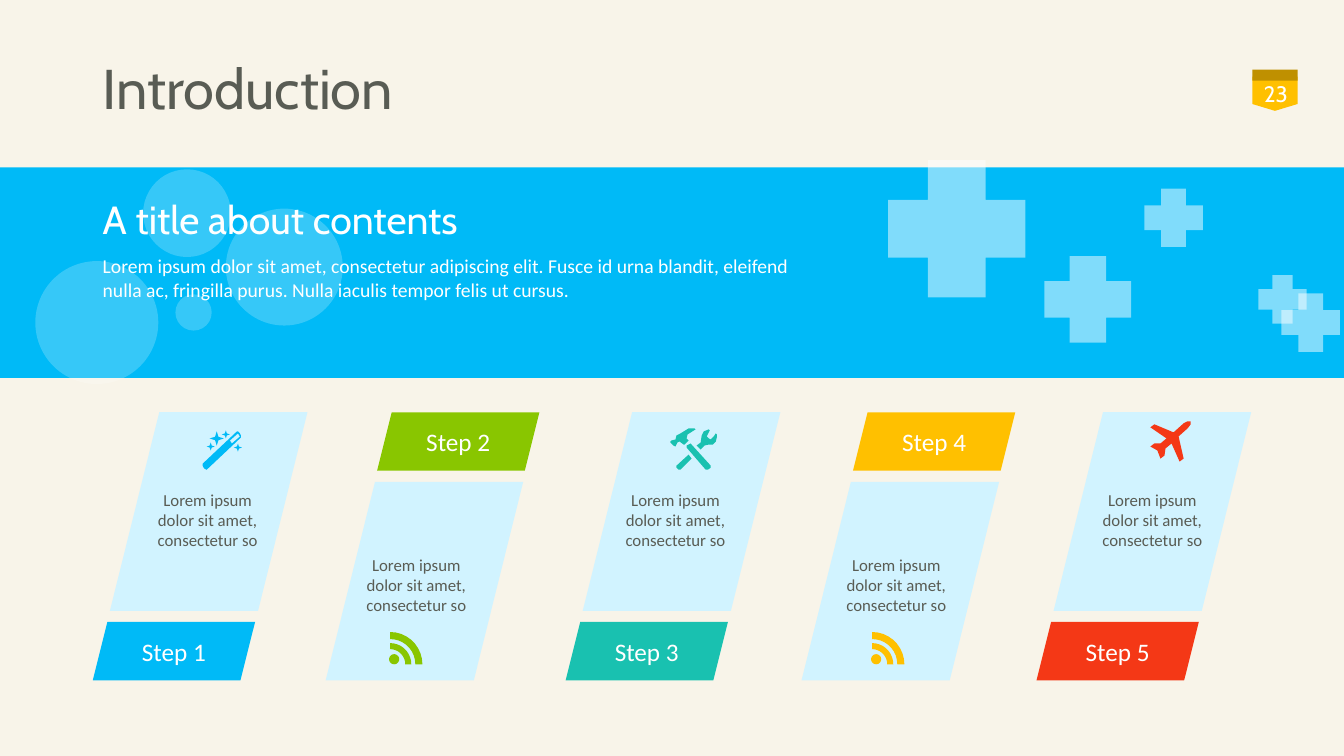
from math import cos, sin, radians
from lxml import etree
from pptx import Presentation
from pptx import util as u
from pptx.dml import color as dml
from pptx.enum import shapes, text
from pptx.oxml import ns

PX = 9144
KIND = shapes.MSO_SHAPE
ALIGN = text.PP_ALIGN
MIDDLE = text.MSO_ANCHOR.MIDDLE
WHITE, GREY, SKY, PALE = "FFFFFF", "595C54", "00BAF7", "D1F3FF"
BLURB = "Lorem ipsum dolor sit amet, consectetur so"
INTRO = ("Lorem ipsum dolor sit amet, consectetur adipiscing elit. Fusce id urna "
         "blandit, eleifend nulla ac, fringilla purus. Nulla iaculis tempor felis ut cursus.")


def rgb(code):
    return dml.RGBColor.from_string(code)


def paint(shape, code, alpha=100):
    shape.shadow.inherit = False
    shape.line.fill.background()
    shape.fill.solid()
    shape.fill.fore_color.rgb = rgb(code)
    if alpha < 100:
        tone = shape.fill._xPr.find(".//" + ns.qn("a:srgbClr"))
        etree.SubElement(tone, ns.qn("a:alpha")).set("val", str(alpha * 1000))


def block(slide, kind, box, code, alpha=100, adj=None):
    shape = slide.shapes.add_shape(kind, *[n * PX for n in box])
    paint(shape, code, alpha)
    if adj is not None:
        shape.adjustments[0] = adj
    return shape


def write(shape, words, size, code, font="Calibri", align=ALIGN.LEFT, wrap=True):
    frame = shape.text_frame
    frame.text = words
    frame.word_wrap = wrap
    para = frame.paragraphs[0]
    para.alignment = align
    face = para.runs[0].font
    face.name, face.size = font, u.Pt(size)
    face.color.rgb = rgb(code)
    return frame


def label(slide, box, *args, **opts):
    shape = slide.shapes.add_textbox(*[n * PX for n in box])
    return write(shape, *args, **opts)


def arc(x, y, r, start, end):
    return [(x + r * cos(radians(a)), y + r * sin(radians(a)))
            for a in range(start, end + 1, 10)]


def star(x, y, r):
    pts = []
    for i in range(8):
        reach = r * 0.35 if i % 2 else r
        pts.append((x + reach * cos(radians(45 * i)), y + reach * sin(radians(45 * i))))
    return pts


def band(outer, inner):
    return arc(1, 32, outer, -90, 0) + arc(1, 32, inner, -90, 0)[::-1]


WAND = [
    [(34, 1), (35, 1), (37, 3), (38, 5), (38, 7), (4, 39), (2, 38), (1, 37), (0, 35), (0, 33)],
    [(37, 6), (35, 3), (27, 10), (29, 13)],
    star(8, 16, 4), star(14, 8, 7), star(23, 4, 4), star(35, 17, 4),
]
FEED = [band(32, 25), band(21, 15), arc(5, 27, 5, 0, 350)]
TOOLS = [
    [(7, 14), (9, 13), (13, 16), (14, 16), (18, 12), (16, 10), (17, 6), (25, 1), (24, 0),
     (18, 0), (10, 5), (6, 7), (5, 11), (1, 12), (0, 13), (0, 14), (3, 17), (5, 18), (6, 16)],
    [(20, 15), (16, 17), (16, 19), (35, 41), (37, 41), (40, 39), (40, 37)],
    [(46, 6), (45, 5), (43, 8), (40, 11), (38, 10), (36, 8), (37, 6), (39, 2), (38, 1),
     (33, 3), (31, 7), (30, 14), (26, 17), (30, 21), (34, 17), (38, 16), (42, 16),
     (45, 13), (46, 9)],
    [(6, 37), (6, 39), (8, 41), (10, 41), (21, 30), (18, 26)],
]
PLANE = [
    [(29, 40), (33, 37), (28, 15), (37, 7), (40, 3), (40, 0), (37, 0), (33, 2), (23, 11),
     (4, 3), (0, 6), (16, 17), (10, 22), (4, 22), (0, 25), (7, 29), (10, 37), (14, 34),
     (15, 27), (21, 22)],
]
STEPS = [
    (SKY, 92, 146, WAND, (201, 427)),
    ("89C600", 374, 353, FEED, (386, 627)),
    ("19C1B0", 561, 610, TOOLS, (665, 425)),
    ("FFC000", 846, 829, FEED, (864, 627)),
    ("F43816", 1028, 1083, PLANE, (1141, 418)),
]
DISCS = [(35, 259, 122), (224, 207, 116), (142, 168, 87), (174, 292, 36)]
CROSSES = [(881, 159, 136), (1036, 254, 86), (1135, 187, 58), (1271, 291, 58), (1248, 273, 48)]


def icon(slide, paths, spot, code):
    fine = [[(round(x * 10), round(y * 10)) for x, y in path] for path in paths]
    pen = slide.shapes.build_freeform(*fine[0][0], scale=PX / 10)
    for i, path in enumerate(fine):
        if i:
            pen.move_to(*path[0])
        pen.add_line_segments(path[1:], close=True)
    paint(pen.convert_to_shape(spot[0] * PX, spot[1] * PX), code)


def step(slide, num, code, left, inset, paths, spot):
    low = num % 2 == 1
    body = (left + 17, 409) if low else (left - 51, 478)
    block(slide, KIND.PARALLELOGRAM, (*body, 196, 197), PALE, adj=0.25)
    tab = block(slide, KIND.PARALLELOGRAM, (left, 617 if low else 409, 161, 58), code, adj=0.25)
    write(tab, f"Step {num}", 18, WHITE, align=ALIGN.CENTER, wrap=False).vertical_anchor = MIDDLE
    icon(slide, paths, spot, code)
    label(slide, (inset, 481 if low else 545, 120, 71), BLURB, 12, GREY, align=ALIGN.CENTER)


def head(slide):
    title = slide.shapes.title
    title.left, title.top, title.width, title.height = [n * PX for n in (92, 45, 1150, 91)]
    frame = write(title, "Introduction", 40, GREY, "Cabin")
    frame.auto_size = text.MSO_AUTO_SIZE.NONE
    frame.vertical_anchor = MIDDLE
    frame.paragraphs[0].line_spacing = 0.9
    block(slide, KIND.FLOWCHART_OFFPAGE_CONNECTOR, (1242, 76, 45, 34), "FFC000")
    block(slide, KIND.RECTANGLE, (1242, 69, 45, 11), "BF9000")
    page = label(slide, (1221, 73, 89, 40), "23", 16, WHITE, "Cabin", ALIGN.CENTER)
    page.vertical_anchor = MIDDLE


def banner(slide):
    block(slide, KIND.RECTANGLE, (0, 166, 1333, 209), SKY)
    for x, y, size in DISCS:
        block(slide, KIND.OVAL, (x, y, size, size), WHITE, 21)
    label(slide, (92, 189, 372, 57), "A title about contents", 28, WHITE, "Cabin", wrap=False)
    label(slide, (92, 247, 722, 57), INTRO, 14, WHITE)
    for x, y, size in CROSSES:
        block(slide, KIND.CROSS, (x, y, size, size), WHITE, 50, 0.289)


def main():
    deck = Presentation()
    deck.slide_width, deck.slide_height = 1333 * PX, 750 * PX
    slide = deck.slides.add_slide(deck.slide_layouts[5])
    slide.background.fill.solid()
    slide.background.fill.fore_color.rgb = rgb("F8F4E9")
    head(slide)
    banner(slide)
    for num, row in enumerate(STEPS, 1):
        step(slide, num, *row)
    deck.save("out.pptx")


if __name__ == "__main__":
    main()
